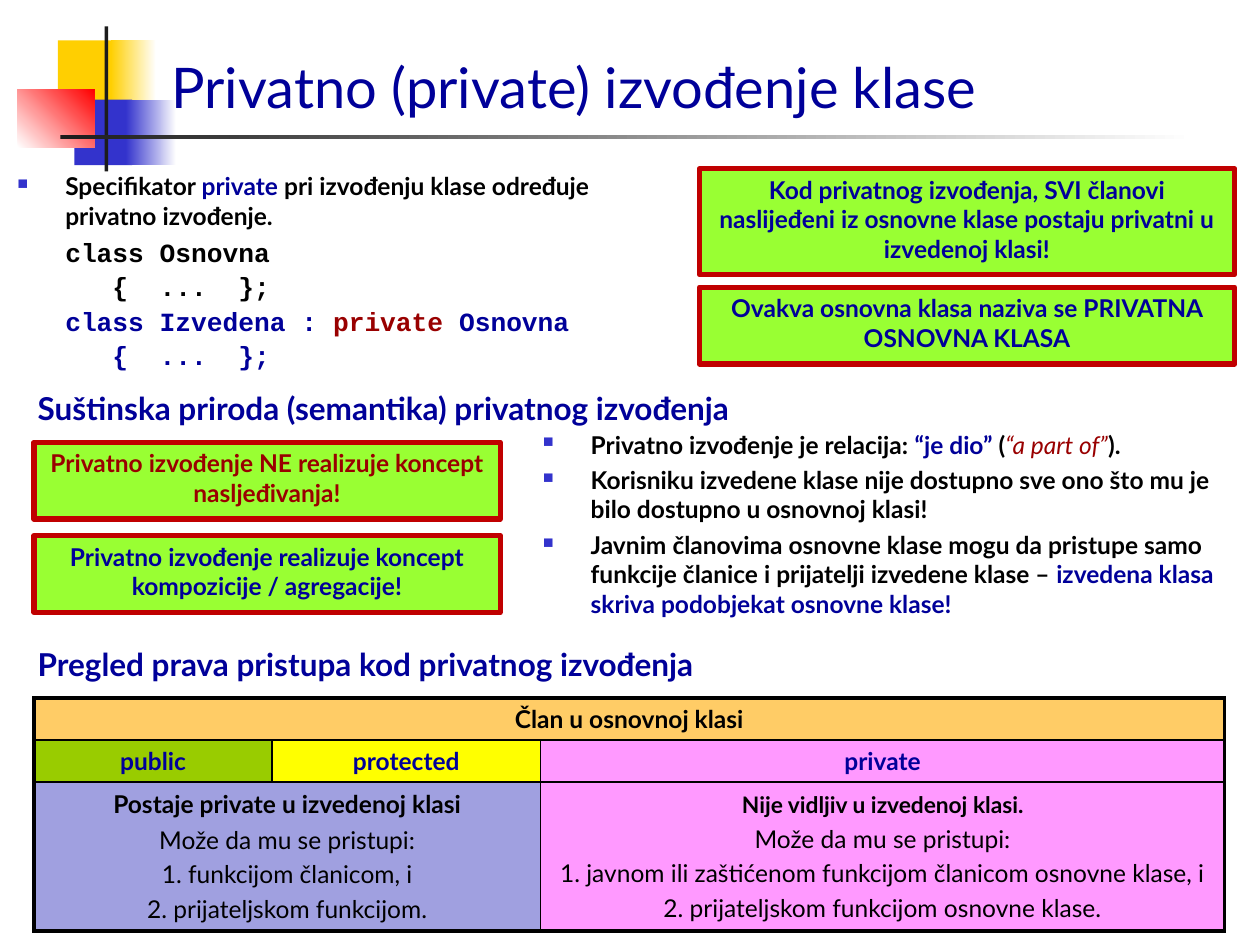
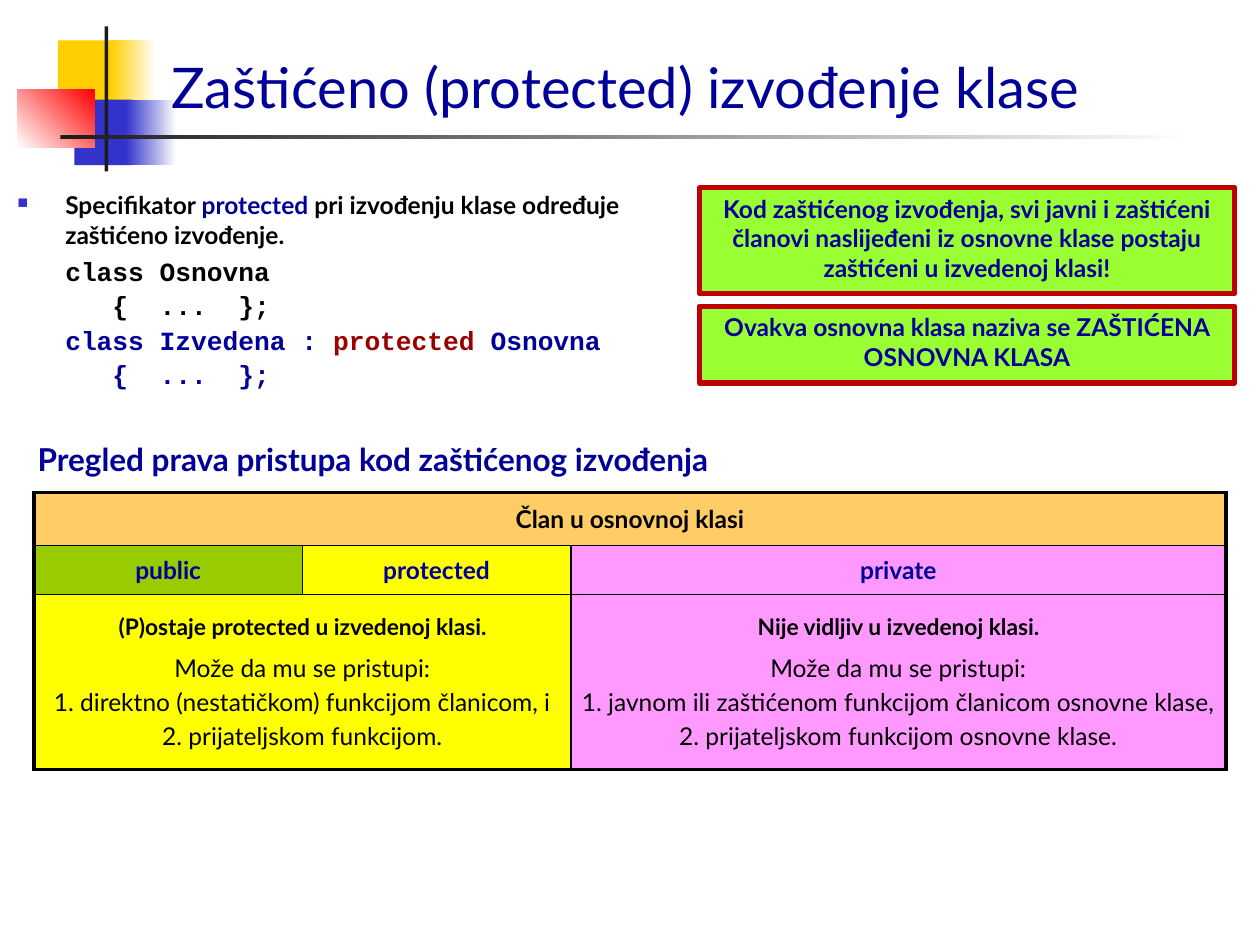
from dataclasses import dataclass

from lxml import etree
from pptx import Presentation
from pptx import util as u
from pptx.dml.color import RGBColor
from pptx.enum import shapes, text
from pptx.oxml import ns

BLACK = RGBColor(0x00, 0x00, 0x00)
WHITE = RGBColor(0xFF, 0xFF, 0xFF)
NAVY = RGBColor(0x00, 0x00, 0x99)
MAROON = RGBColor(0x99, 0x00, 0x00)
BLUE = RGBColor(0x33, 0x33, 0xCC)
GOLD = RGBColor(0xFF, 0xCF, 0x01)
RED = RGBColor(0xFF, 0x00, 0x00)
INK = RGBColor(0x1C, 0x1C, 0x1C)
LIME = RGBColor(0x99, 0xFF, 0x33)
FRAME = RGBColor(0xC0, 0x00, 0x00)
ORANGE = RGBColor(0xFF, 0xCC, 0x66)
GREEN = RGBColor(0x99, 0xCC, 0x00)
YELLOW = RGBColor(0xFF, 0xFF, 0x00)
PINK = RGBColor(0xFF, 0x99, 0xFF)
LILAC = RGBColor(0xA0, 0xA0, 0xE0)

SANS, MONO = "Lato", "Courier New"
INDENT = 0.38
MARGIN = 0.27
THICK, THIN = 2.25, 1


@dataclass
class Para:
    """A paragraph; runs are (text, colour) or (text, colour, "italic")."""
    runs: list
    size: float = 14
    font: str = SANS
    bold: bool = True
    before: float = 0
    centred: bool = False
    bullet: bool = False
    left: float = 0


# Left, top, width, height, colour and, for a fade, end colour and angle
MOTIF = [
    (0.46, 0.32, 0.48, 0.52, GOLD),
    (0.88, 0.32, 0.36, 0.52, GOLD, WHITE, 0),
    (0.59, 0.79, 0.46, 0.52, BLUE),
    (1.00, 0.79, 0.40, 0.52, BLUE, WHITE, 0),
    (0.14, 0.71, 0.61, 0.46, WHITE, RED, 45),
    (0.83, 0.21, 0.03, 1.15, INK),
    (0.48, 1.07, 9.00, 0.03, INK, WHITE, 0),
]

RELATION = [
    [("Privatno izvođenje je relacija: ", BLACK), ("“je dio”", NAVY), (" (", BLACK),
     ("“a part of”", MAROON, "italic"), (").", BLACK)],
    [("Korisniku izvedene klase nije dostupno sve ono što mu je bilo dostupno "
      "u osnovnoj klasi!", BLACK)],
    [("Javnim članovima osnovne klase mogu da pristupe samo funkcije članice "
      "i prijatelji izvedene klase – ", BLACK),
     ("izvedena klasa skriva podobjekat osnovne klase!", NAVY)],
]
CONCEPTS = [
    ("Privatno izvođenje NE realizuje koncept nasljeđivanja!", MAROON),
    ("Privatno izvođenje realizuje koncept kompozicije / agregacije!", NAVY),
]

HIDDEN = "Nije vidljiv u izvedenoj klasi."
ACCESS = "Može da mu se pristupi:"
FRIEND = "2. prijateljskom funkcijom."
BASE_MEMBER = "1. javnom ili zaštićenom funkcijom članicom osnovne klase,"
BASE_FRIEND = "2. prijateljskom funkcijom osnovne klase."

PRIVATE = dict(
    title="Privatno (private) izvođenje klase",
    keyword="private",
    kind="privatno",
    top=1.31,
    callouts=[
        "Kod privatnog izvođenja, SVI članovi naslijeđeni iz osnovne klase "
        "postaju privatni u izvedenoj klasi!",
        "Ovakva osnovna klasa naziva se PRIVATNA OSNOVNA KLASA",
    ],
    review="Pregled prava pristupa kod privatnog izvođenja",
    review_top=5.07,
    columns=[1.89, 2.13, 5.43],
    rows=[0.31, 0.32, 1.18],
    inherited=["Postaje private u izvedenoj klasi", ACCESS,
               "1. funkcijom članicom, i", FRIEND],
    hidden=[HIDDEN, ACCESS, BASE_MEMBER + " i", BASE_FRIEND],
    inherited_fill=LILAC,
    lead_sizes=[14, 13],
    access_gap=3.5,
)
PROTECTED = dict(
    title="Zaštićeno (protected) izvođenje klase",
    keyword="protected",
    kind="zaštićeno",
    top=1.46,
    callouts=[
        "Kod zaštićenog izvođenja, svi javni i zaštićeni članovi naslijeđeni "
        "iz osnovne klase postaju zaštićeni u izvedenoj klasi!",
        "Ovakva osnovna klasa naziva se ZAŠTIĆENA OSNOVNA KLASA",
    ],
    review="Pregled prava pristupa kod zaštićenog izvođenja",
    review_top=3.44,
    columns=[2.13, 2.13, 5.2],
    rows=[0.42, 0.39, 1.39],
    inherited=["(P)ostaje protected u izvedenoj klasi.", ACCESS,
               "1. direktno (nestatičkom) funkcijom članicom, i", FRIEND],
    hidden=[HIDDEN, ACCESS, BASE_MEMBER, BASE_FRIEND],
    inherited_fill=YELLOW,
    lead_sizes=[13, 13],
    access_gap=7,
)


def inches(*lengths):
    return [u.Inches(n) for n in lengths]


def add_xml(parent, tag, **attrs):
    return etree.SubElement(parent, ns.qn(tag), {k: str(v) for k, v in attrs.items()})


def write(tf, paras):
    tf.word_wrap = True
    for i, para in enumerate(paras):
        p = tf.add_paragraph() if i else tf.paragraphs[0]
        pPr = p._p.get_or_add_pPr()
        left = u.Inches(para.left)
        pPr.set("marL", str(left))
        pPr.set("indent", str(-left if para.bullet else 0))
        p.space_before = u.Pt(para.before)
        p.alignment = text.PP_ALIGN.CENTER if para.centred else text.PP_ALIGN.LEFT
        if para.bullet:
            add_xml(add_xml(pPr, "a:buClr"), "a:srgbClr", val=BLUE)
            add_xml(pPr, "a:buSzPct", val=60000)
            add_xml(pPr, "a:buChar", char="■")
        else:
            add_xml(pPr, "a:buNone")
        for words, colour, *italic in para.runs:
            r = p.add_run()
            r.text = words
            r.font.name, r.font.size = para.font, u.Pt(para.size)
            r.font.bold = para.bold and not italic
            r.font.italic = bool(italic)
            r.font.color.rgb = colour


def add_rect(s, box):
    sp = s.shapes.add_shape(shapes.MSO_SHAPE.RECTANGLE, *inches(*box))
    sp.shadow.inherit = False
    return sp


def add_text(s, box, paras):
    write(s.shapes.add_textbox(*inches(*box)).text_frame, paras)


def add_motif(s):
    for *box, colour, end, angle in [m if len(m) == 7 else (*m, None, 0) for m in MOTIF]:
        sp = add_rect(s, box)
        sp.line.fill.background()
        if end is None:
            sp.fill.solid()
            sp.fill.fore_color.rgb = colour
        else:
            sp.fill.gradient()
            sp.fill.gradient_angle = angle
            for stop, rgb in zip(sp.fill.gradient_stops, (colour, end)):
                stop.color.rgb = rgb


def add_callout(s, box, words, colour=NAVY):
    sp = add_rect(s, box)
    sp.fill.solid()
    sp.fill.fore_color.rgb = LIME
    sp.line.color.rgb = FRAME
    sp.line.width = u.Pt(3)
    sp.text_frame.vertical_anchor = text.MSO_ANCHOR.TOP
    write(sp.text_frame, [Para([(words, colour)], centred=True)])


def add_heading(s, top, words):
    add_text(s, (0.2, top, 6.62, 0.39), [Para([(words, NAVY)], size=18)])


def add_specifier(s, d):
    """Explain the specifier and show the code that uses it."""
    code = [
        ([("class Osnovna", BLACK)], 3.75),
        ([("   {  ...  };", BLACK)], 1.3),
        ([("class Izvedena : ", NAVY), (d["keyword"], MAROON), (" Osnovna", NAVY)], 2),
        ([("   {  ...  };", NAVY)], 1.3),
    ]
    intro = [("Specifikator ", BLACK), (d["keyword"], NAVY),
             (f" pri izvođenju klase određuje {d['kind']} izvođenje.", BLACK)]
    add_text(s, (0.04, d["top"], 5.04, 1.74),
             [Para(intro, bullet=True, left=INDENT)]
             + [Para(runs, 15, MONO, before=gap, left=INDENT) for runs, gap in code])


def member_lines(lines, lead_size, access_gap):
    lead, access, *rest = lines
    return ([Para([(lead, BLACK)], lead_size, centred=True),
             Para([(access, BLACK)], bold=False, before=access_gap, centred=True)]
            + [Para([(t, BLACK)], bold=False, before=2.8, centred=True) for t in rest])


def set_borders(cell, outer):
    """Draw all four sides, thick on those named in outer."""
    tcPr = cell._tc.get_or_add_tcPr()
    for side in "LRTB":
        width = u.Pt(THICK if side in outer else THIN)
        fill = add_xml(add_xml(tcPr, f"a:ln{side}", w=width), "a:solidFill")
        add_xml(fill, "a:srgbClr", val=BLACK)


def add_access_table(s, d):
    def label(words, colour=NAVY):
        return [Para([(words, colour)], centred=True)]

    left, right = [member_lines(d[key], size, d["access_gap"])
                   for key, size in zip(("inherited", "hidden"), d["lead_sizes"])]
    # Row, column, columns spanned, fill, inset, paragraphs
    cells = [
        (0, 0, 3, ORANGE, 0.1, label("Član u osnovnoj klasi", BLACK)),
        (1, 0, 1, GREEN, 0.1, label("public")),
        (1, 1, 1, YELLOW, 0.04, label("protected")),
        (1, 2, 1, PINK, 0.1, label("private")),
        (2, 0, 2, d["inherited_fill"], 0.04, left),
        (2, 2, 1, PINK, 0.04, right),
    ]
    box = (MARGIN, d["review_top"] + 0.47, sum(d["columns"]), sum(d["rows"]))
    table = s.shapes.add_table(3, 3, *inches(*box)).table
    table.first_row = table.horz_banding = False
    for col, width in zip(table.columns, d["columns"]):
        col.width = u.Inches(width)
    for row, height in zip(table.rows, d["rows"]):
        row.height = u.Inches(height)
    for r, c, span, colour, inset, paras in cells:
        cell = table.cell(r, c)
        if span > 1:
            cell.merge(table.cell(r, c + span - 1))
        outer = ("L" * (c == 0) + "R" * (c + span == 3)
                 + "T" * (r == 0) + "B" * (r == 2))
        for k in range(c, c + span):
            part = table.cell(r, k)
            set_borders(part, outer)
            part.fill.solid()
            part.fill.fore_color.rgb = colour
        cell.margin_left = cell.margin_right = u.Inches(inset)
        cell.margin_top = cell.margin_bottom = u.Inches(min(inset, 0.05))
        cell.vertical_anchor = text.MSO_ANCHOR.MIDDLE
        write(cell.text_frame, paras)


def add_slide(prs, d):
    s = prs.slides.add_slide(prs.slide_layouts[5])
    add_motif(s)
    title = s.shapes.title
    s.shapes.element.append(title.element)  # bring the title above the motif
    title.left, title.top, title.width, title.height = inches(1.26, 0.13, 8.74, 0.87)
    title.text_frame.vertical_anchor = text.MSO_ANCHOR.BOTTOM
    title.text_frame.auto_size = text.MSO_AUTO_SIZE.NONE
    write(title.text_frame, [Para([(d["title"], NAVY)], size=32, bold=False)])

    add_specifier(s, d)
    rule, name = d["callouts"]
    add_callout(s, (5.55, d["top"] + 0.03, 4.25, 0.84), rule)
    add_callout(s, (5.55, d["top"] + 0.97, 4.25, 0.61), name)
    add_heading(s, d["review_top"], d["review"])
    add_access_table(s, d)
    return s


def add_semantics(s):
    add_heading(s, 3.04, "Suštinska priroda (semantika) privatnog izvođenja")
    for i, (words, colour) in enumerate(CONCEPTS):
        add_callout(s, (MARGIN, 3.51 + 0.74 * i, 3.7, 0.61), words, colour)
    add_text(s, (4.21, 3.36, 5.79, 1.65),
             [Para(runs, before=3.5 if i else 0, bullet=True, left=INDENT)
              for i, runs in enumerate(RELATION)])


def main():
    prs = Presentation()
    prs.slide_width, prs.slide_height = inches(10, 7.5)
    add_semantics(add_slide(prs, PRIVATE))
    add_slide(prs, PROTECTED)
    prs.save("out.pptx")


if __name__ == "__main__":
    main()
